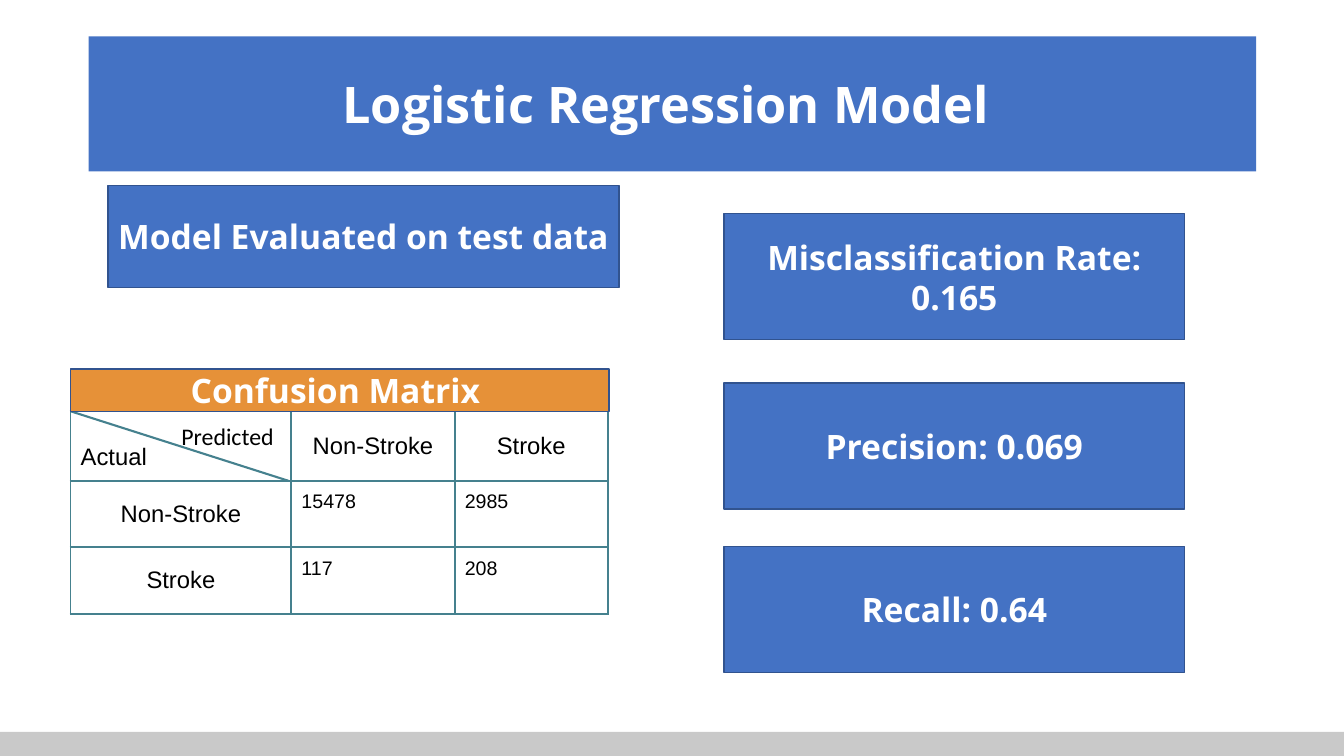
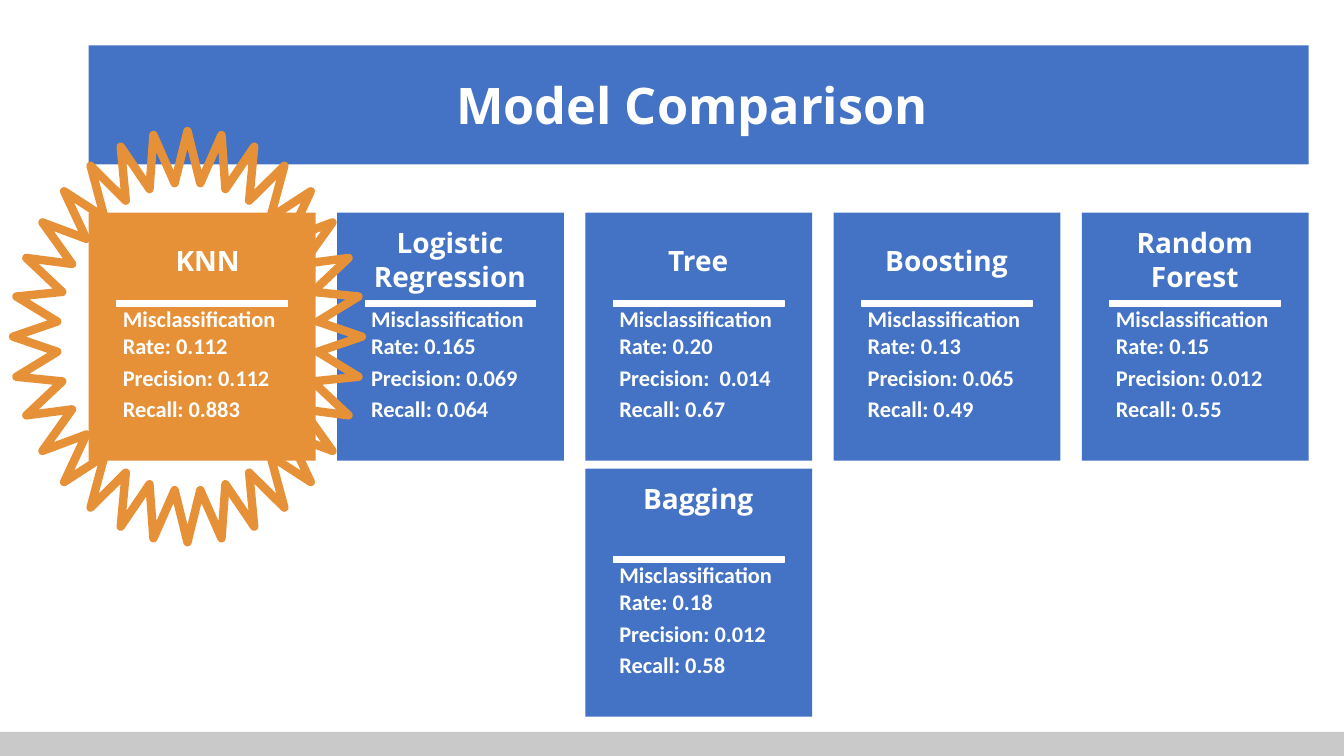
import pptx
import pptx.util
import pptx.dml.color
import pptx.enum.shapes
import pptx.enum.text
import pptx.oxml
import pptx.oxml.ns
from lxml import etree

Inches = pptx.util.Inches
Pt = pptx.util.Pt
SHAPE = pptx.enum.shapes.MSO_SHAPE
ALIGN = pptx.enum.text.PP_ALIGN
ANCHOR = pptx.enum.text.MSO_ANCHOR

COLORS = {
    "blue": "4472C4",
    "outline": "31538F",
    "orange": "E69138",
    "teal": "45818E",
    "footer": "C9C9C9",
    "white": "FFFFFF",
    "black": "000000",
}
HEADING_FONT = "Open Sans"
BODY_FONT = "Calibri"
TABLE_FONT = "Arial"

SLIDE_WIDTH, SLIDE_HEIGHT = 13.33, 7.5
FOOTER_HEIGHT = 0.24

CARD_WIDTH, CARD_HEIGHT = 2.25, 2.46
METRICS = (("Misclassification Rate", 0.87, 0.67), ("Precision", 1.45, 0.47), ("Recall", 1.76, 0.47))


def rgb(name):
    return pptx.dml.color.RGBColor.from_string(COLORS[name])


def inches(box):
    return [Inches(length) for length in box]


def format_text(text_frame, text, size, font=HEADING_FONT, color="white", bold=True, align=ALIGN.CENTER):
    text_frame.text = text
    paragraph = text_frame.paragraphs[0]
    paragraph.alignment = align
    for run in paragraph.runs:
        run.font.name = font
        run.font.size = Pt(size)
        run.font.bold = bold
        run.font.color.rgb = rgb(color)


def add_rectangle(shapes, box, fill, line=None):
    shape = shapes.add_shape(SHAPE.RECTANGLE, *inches(box))
    shape.shadow.inherit = False
    shape.fill.solid()
    shape.fill.fore_color.rgb = rgb(fill)
    if line:
        shape.line.color.rgb = rgb(line)
        shape.line.width = Pt(1)
    else:
        shape.line.fill.background()
    return shape


def add_panel(shapes, box, text, fill="blue"):
    """Outlined box with a centred bold statement."""
    shape = add_rectangle(shapes, box, fill, "outline")
    shape.text_frame.word_wrap = True
    shape.text_frame.vertical_anchor = ANCHOR.MIDDLE
    format_text(shape.text_frame, text, 24)


def add_text(shapes, box, text, size, **style):
    text_box = shapes.add_textbox(*inches(box))
    text_box.text_frame.word_wrap = True
    format_text(text_box.text_frame, text, size, **style)
    return text_box


def add_titled_slide(presentation, title, box):
    """Title-only slide whose title is a filled band."""
    slide = presentation.slides.add_slide(presentation.slide_layouts[5])
    band = slide.shapes.title
    band.left, band.top, band.width, band.height = inches(box)
    band.fill.solid()
    band.fill.fore_color.rgb = rgb("blue")
    band.text_frame.auto_size = pptx.enum.text.MSO_AUTO_SIZE.NONE
    band.text_frame.vertical_anchor = ANCHOR.MIDDLE
    format_text(band.text_frame, title, 36)
    return slide


def move_footer_to_master(presentation, slide):
    """Draw the footer band once, on the master, so every slide shows it."""
    footer = add_rectangle(
        slide.shapes, (0, SLIDE_HEIGHT - FOOTER_HEIGHT, SLIDE_WIDTH, FOOTER_HEIGHT), "footer")
    presentation.slide_master.shapes.element.insert(2, footer.element)


def set_table_borders(graphic_frame, color, points):
    for cell_properties in graphic_frame.element.iter(pptx.oxml.ns.qn("a:tcPr")):
        for position, side in enumerate(("lnL", "lnR", "lnT", "lnB")):
            cell_properties.insert(position, pptx.oxml.parse_xml(
                f'<a:{side} {pptx.oxml.ns.nsdecls("a")} w="{Pt(points)}"><a:solidFill>'
                f'<a:srgbClr val="{COLORS[color]}"/></a:solidFill></a:{side}>'))


def add_confusion_matrix(slide, left, top):
    header_height = 0.42
    column_widths, row_heights = (2.19, 1.62, 1.52), (0.69, 0.66, 0.66)
    rows = (
        ("Actual", "Non-Stroke", "Stroke"),
        ("Non-Stroke", "15478", "2985"),
        ("Stroke", "117", "208"),
    )
    table_top = top + header_height
    table_box = (left, table_top, sum(column_widths), sum(row_heights))
    graphic_frame = slide.shapes.add_table(len(rows), len(column_widths), *inches(table_box))
    table = graphic_frame.table
    table.first_row = table.horz_banding = False
    for column, width in zip(table.columns, column_widths):
        column.width = Inches(width)
    for row, height in zip(table.rows, row_heights):
        row.height = Inches(height)

    for row_index, row in enumerate(rows):
        for column_index, text in enumerate(row):
            cell = table.cell(row_index, column_index)
            cell.fill.background()
            cell.margin_left = cell.margin_right = Inches(0.1)
            cell.margin_top = cell.margin_bottom = Inches(0.1)
            is_corner = row_index == column_index == 0
            is_value = row_index > 0 and column_index > 0
            if is_corner:
                cell.vertical_anchor = ANCHOR.BOTTOM
            else:
                cell.vertical_anchor = ANCHOR.TOP if is_value else ANCHOR.MIDDLE
            format_text(cell.text_frame, text, 14 if is_value else 17, TABLE_FONT, "black", False,
                        ALIGN.LEFT if is_corner or is_value else ALIGN.CENTER)
    set_table_borders(graphic_frame, "teal", 1.5)

    diagonal = slide.shapes.add_connector(
        pptx.enum.shapes.MSO_CONNECTOR.STRAIGHT,
        *inches((left, table_top, left + 2.16, table_top + row_heights[0])))
    diagonal.line.color.rgb = rgb("teal")
    diagonal.line.width = Pt(1.5)
    etree.SubElement(diagonal.element.spPr, pptx.oxml.ns.qn("a:effectLst"))

    predicted = add_text(slide.shapes, (left + 1, table_top, 1.48, 0.42), "Predicted", 17,
                         font=BODY_FONT, color="black", bold=False, align=ALIGN.LEFT)
    predicted.text_frame.margin_top = predicted.text_frame.margin_bottom = Inches(0.1)
    add_panel(slide.shapes, (left, top, 5.34, header_height), "Confusion Matrix ", "orange")


def add_model_card(slide, left, top, name, values, fill="blue", heading_left=0.06, heading_top=0.26):
    shapes = slide.shapes.add_group_shape().shapes
    add_rectangle(shapes, (left, top, CARD_WIDTH, CARD_HEIGHT), fill)
    add_text(shapes, (left + heading_left, top + heading_top, 2.12, 0.57), name, 20)
    for (metric, offset, height), value in zip(METRICS, values):
        add_text(shapes, (left + 0.24, top + offset, 1.76, height), f"{metric}: {value}", 16,
                 font=BODY_FONT, align=ALIGN.LEFT)
    add_rectangle(shapes, (left + 0.28, top + 0.87, 1.69, 0.06), "white", "white")


def add_starburst(slide, box):
    star = slide.shapes.add_shape(SHAPE.STAR_32_POINT, *inches(box))
    star.shadow.inherit = False
    star.adjustments[0] = 0.375
    star.fill.background()
    star.line.color.rgb = rgb("orange")
    star.line.width = Pt(6)


def build_logistic_regression(presentation):
    slide = add_titled_slide(presentation, "Logistic Regression Model ", (0.88, 0.36, 11.58, 1.34))
    add_confusion_matrix(slide, 0.7, 3.66)
    add_panel(slide.shapes, (1.07, 1.84, 5.07, 1.01), "Model Evaluated on test data ")
    results = (
        (2.12, "Misclassification Rate: 0.165"),
        (3.8, "Precision: 0.069"),
        (5.42, "Recall: 0.64"),
    )
    for top, text in results:
        add_panel(slide.shapes, (7.18, top, 4.57, 1.25), text)
    return slide


def build_model_comparison(presentation):
    left, top, width = 0.88, 2.11, 12.1
    slide = add_titled_slide(presentation, "Model Comparison ", (left, 0.45, width, 1.18))
    two_lines = {"heading_top": 0.08}
    models = (
        ("KNN", ("0.112", "0.112", "0.883"), {"fill": "orange", "heading_left": 0.12}),
        ("Logistic Regression", ("0.165", "0.069", "0.064"), two_lines),
        ("Tree", ("0.20", " 0.014", "0.67"), {}),
        ("Boosting", ("0.13", "0.065", "0.49"), {}),
        ("Random Forest", ("0.15", "0.012", "0.55"), two_lines),
    )
    pitch = (width - CARD_WIDTH) / (len(models) - 1)
    for index, (name, values, style) in enumerate(models):
        add_model_card(slide, left + index * pitch, top, name, values, **style)
    add_model_card(slide, left + 2 * pitch, top + 2.54, "Bagging", ("0.18", "0.012", "0.58"),
                   heading_top=0.08)
    add_starburst(slide, (0.13, 1.3, 3.46, 4.08))


def main():
    presentation = pptx.Presentation()
    presentation.slide_width = Inches(SLIDE_WIDTH)
    presentation.slide_height = Inches(SLIDE_HEIGHT)
    first_slide = build_logistic_regression(presentation)
    move_footer_to_master(presentation, first_slide)
    build_model_comparison(presentation)
    presentation.save("out.pptx")


if __name__ == "__main__":
    main()
